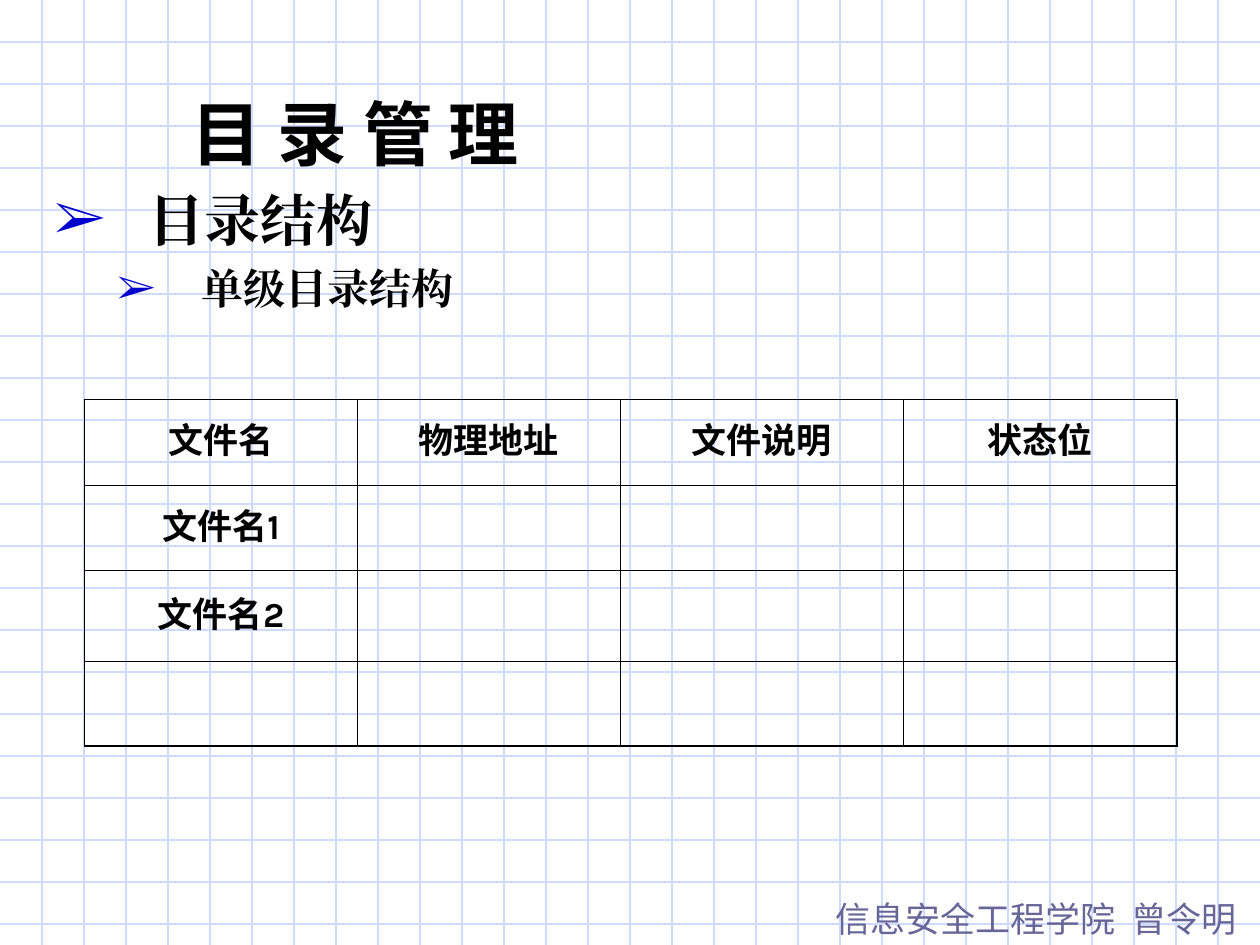
from lxml.etree import SubElement
from pptx import Presentation
from pptx.dml.color import RGBColor
from pptx.enum.shapes import MSO_CONNECTOR as Connector
from pptx.enum.text import MSO_ANCHOR as Anchor, MSO_AUTO_SIZE as AutoSize, PP_ALIGN as Align
from pptx.oxml.ns import qn
from pptx.util import Inches, Pt

WIDTH, HEIGHT = 10, 7.5
GRID_STEP = 1 / 3
SANS = "Noto Sans CJK JP"
BLACK, BLUE, PURPLE, GRID_BLUE = "000000", "0000CC", "666699", "CFDBFD"

COLUMNS = [2.17, 2.08, 2.25, 2.17]
ROWS = [0.68, 0.68, 0.72, 0.67]
CELLS = [
    ["文件名", "物理地址", "文件说明", "状态位"],
    ["文件名1", "", "", ""],
    ["文件名2", "", "", ""],
    ["", "", "", ""],
]
BULLETS = [
    {"text": "目录结构", "level": 0, "size": 32, "margin": 0.75, "indent": -0.75, "before": 0},
    {"text": "单级目录结构", "level": 1, "size": 24, "margin": 1.17, "indent": -0.67, "before": 6},
]


def color(value):
    return RGBColor.from_string(value)


def set_attributes(target, values):
    for name, value in values.items():
        setattr(target, name, value)


def place(shape, left, top, width, height):
    box = {"left": left, "top": top, "width": width, "height": height}
    set_attributes(shape, {name: Inches(value) for name, value in box.items()})


def write_text(paragraph, text, size, font_name, text_color=BLACK, bold=True):
    """Add a run whose Latin and East Asian letters share one font."""
    run = paragraph.add_run()
    run.text = text
    set_attributes(run.font, {"size": Pt(size), "name": font_name, "bold": bold})
    run.font.color.rgb = color(text_color)
    SubElement(run.font._element, qn("a:ea"), typeface=font_name)


def set_frame(shape, anchor):
    set_attributes(shape.text_frame, {
        "word_wrap": True, "auto_size": AutoSize.NONE, "vertical_anchor": anchor,
        "margin_left": Inches(0.1), "margin_right": Inches(0.1),
        "margin_top": Inches(0.05), "margin_bottom": Inches(0.05),
    })


def add_grid_line(slide, start, end):
    line = slide.shapes.add_connector(
        Connector.STRAIGHT, *(Inches(value) for value in (*start, *end)))
    line.line.color.rgb = color(GRID_BLUE)
    line.line.width = Pt(0.75)
    SubElement(line.element.spPr, qn("a:effectLst"))


def add_grid(slide):
    for number in range(1, int(HEIGHT / GRID_STEP) + 1):
        y = number * GRID_STEP
        add_grid_line(slide, (0, y), (WIDTH, y))
    for number in range(1, round(WIDTH / GRID_STEP)):
        x = number * GRID_STEP
        add_grid_line(slide, (x, 0), (x, HEIGHT))


def bring_to_front(shape):
    shape.element.getparent().append(shape.element)


def add_footer(slide):
    footer = slide.shapes.add_textbox(0, 0, 0, 0)
    place(footer, 6.53, 7.07, 3.47, 0.44)
    set_frame(footer, Anchor.MIDDLE)
    write_text(footer.text_frame.paragraphs[0], "信息安全工程学院  曾令明",
               20, SANS, PURPLE, bold=False)


def fill_title(title):
    place(title, 1.42, 0.67, 8.17, 0.77)
    set_frame(title, Anchor.MIDDLE)
    paragraph = title.text_frame.paragraphs[0]
    paragraph.alignment = Align.LEFT
    write_text(paragraph, "目 录 管 理", 40, SANS)


def add_bullet(paragraph, margin, indent):
    properties = paragraph._p.get_or_add_pPr()
    properties.set("marL", str(Inches(margin)))
    properties.set("indent", str(Inches(indent)))
    bullet_color = SubElement(properties, qn("a:buClr"))
    SubElement(bullet_color, qn("a:srgbClr"), val=BLUE)
    SubElement(properties, qn("a:buFont"), typeface="Times New Roman")
    SubElement(properties, qn("a:buChar"), char="➢")


def fill_body(body):
    place(body, 0.33, 1.42, 9.25, 0.67)
    set_frame(body, Anchor.TOP)
    frame = body.text_frame
    for number, item in enumerate(BULLETS):
        paragraph = frame.add_paragraph() if number else frame.paragraphs[0]
        add_bullet(paragraph, item["margin"], item["indent"])
        set_attributes(paragraph, {
            "level": item["level"], "alignment": Align.LEFT,
            "space_before": Pt(item["before"]),
        })
        write_text(paragraph, item["text"], item["size"], "Times New Roman")


def set_borders(cell, row, column):
    """Draw thin inner borders and a thicker outer frame."""
    outer_sides = {
        "L": column == 0, "R": column == len(COLUMNS) - 1,
        "T": row == 0, "B": row == len(ROWS) - 1,
    }
    properties = cell._tc.get_or_add_tcPr()
    for side, is_outer in outer_sides.items():
        width = Pt(1.08 if is_outer else 0.45)
        border = SubElement(properties, qn(f"a:ln{side}"), w=str(width))
        fill = SubElement(border, qn("a:solidFill"))
        SubElement(fill, qn("a:srgbClr"), val=BLACK)


def add_file_table(slide):
    frame = slide.shapes.add_table(
        len(ROWS), len(COLUMNS), Inches(0.67), Inches(3.17),
        Inches(sum(COLUMNS)), Inches(sum(ROWS)))
    table = frame.table
    set_attributes(table, {"first_row": False, "horz_banding": False})
    for column, width in zip(table.columns, COLUMNS):
        column.width = Inches(width)
    for row, height in zip(table.rows, ROWS):
        row.height = Inches(height)
    for row, texts in enumerate(CELLS):
        for column, text in enumerate(texts):
            cell = table.cell(row, column)
            set_borders(cell, row, column)
            cell.fill.background()
            cell.vertical_anchor = Anchor.MIDDLE
            if text:
                paragraph = cell.text_frame.paragraphs[0]
                paragraph.alignment = Align.CENTER
                write_text(paragraph, text, 20, "Karla")


def main():
    presentation = Presentation()
    presentation.slide_width = Inches(WIDTH)
    presentation.slide_height = Inches(HEIGHT)
    slide = presentation.slides.add_slide(presentation.slide_layouts[1])
    title, body = slide.placeholders
    add_grid(slide)
    add_footer(slide)
    fill_title(title)
    fill_body(body)
    for placeholder in (title, body):
        bring_to_front(placeholder)
    add_file_table(slide)
    presentation.save("out.pptx")


if __name__ == "__main__":
    main()
